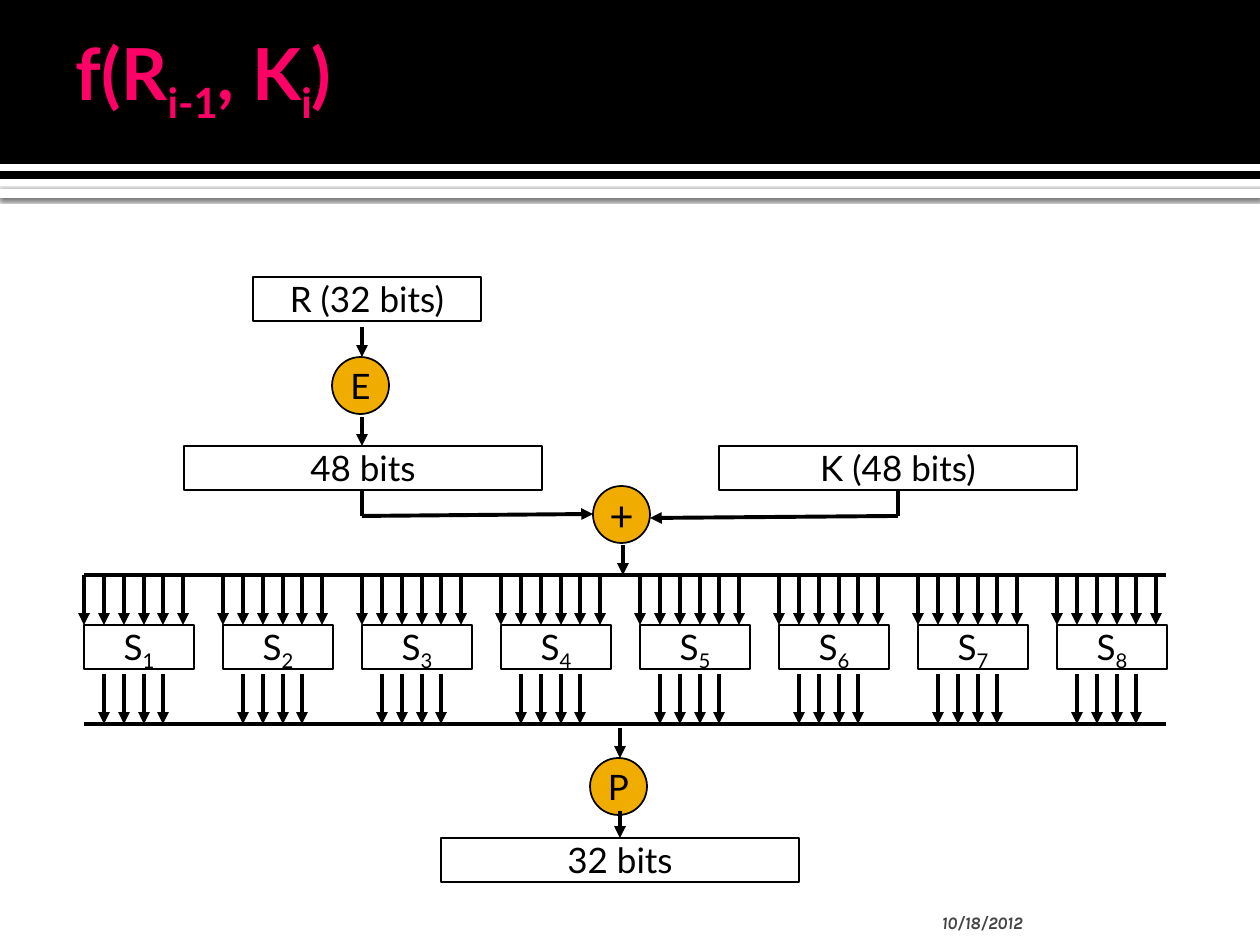
from lxml import etree
from pptx import Presentation
from pptx.dml.color import RGBColor
from pptx.enum.shapes import MSO_CONNECTOR as Connector, MSO_SHAPE as Shape
from pptx.enum.text import MSO_ANCHOR as Anchor, PP_ALIGN as Align
from pptx.oxml import parse_xml
from pptx.oxml.ns import nsdecls, qn
from pptx.util import Emu, Pt

PX_PER_INCH = 126
BLACK = RGBColor(0x00, 0x00, 0x00)
WHITE = RGBColor(0xFF, 0xFF, 0xFF)
PINK = RGBColor(0xFF, 0x00, 0x66)
AMBER = RGBColor(0xF0, 0xAD, 0x00)
GRAY = RGBColor(0x45, 0x45, 0x45)

SBOX_COUNT = 8
SBOX_LEFT = 84
SBOX_PITCH = 139
WIRES_PER_PITCH = 7
INPUT_BUS = 575
SBOX_TOP = 625
OUTPUT_TOP = 674
OUTPUT_BUS = 724


def px(value):
    return Emu(round(value * 914400 / PX_PER_INCH))


def write_text(shape, text, font="Lato", size=20, color=BLACK, bold=False,
               italic=False, align=Align.LEFT, anchor=Anchor.TOP,
               insets=(13, 0, 13, 0), wrap=True):
    frame = shape.text_frame
    frame.word_wrap = wrap
    frame.vertical_anchor = anchor
    (frame.margin_left, frame.margin_top,
     frame.margin_right, frame.margin_bottom) = map(px, insets)
    para = frame.paragraphs[0]
    para.alignment = align
    for index, part in enumerate(text.split("_")):
        if not part:
            continue
        span = para.add_run()
        span.text = part
        span.font.name = font
        span.font.size = Pt(size)
        span.font.bold = bold
        span.font.italic = italic
        span.font.color.rgb = color
        if index % 2:
            span.font._element.set("baseline", "-25000")


def add_shape(page, kind, left, top, width, height, fill=None, line=None):
    shape = page.shapes.add_shape(kind, px(left), px(top), px(width), px(height))
    shape.shadow.inherit = False
    if fill is None:
        shape.fill.background()
    else:
        shape.fill.solid()
        shape.fill.fore_color.rgb = fill
    if line is None:
        shape.line.fill.background()
    else:
        shape.line.color.rgb = line
        shape.line.width = Pt(1)
    return shape


def add_box(page, text, left, top, width):
    box = add_shape(page, Shape.RECTANGLE, left, top, width, 44, line=BLACK)
    write_text(box, text, align=Align.CENTER)


def add_node(page, text, left, top, size=20):
    node = add_shape(page, Shape.OVAL, left, top, 57, 57, fill=AMBER, line=BLACK)
    write_text(node, text, size=size, align=Align.CENTER, anchor=Anchor.MIDDLE,
               insets=(13, 6, 13, 6), wrap=False)


def add_line(page, x1, y1, x2, y2, color=BLACK, width=2.25, arrow=False):
    line = page.shapes.add_connector(Connector.STRAIGHT, px(x1), px(y1), px(x2), px(y2))
    line.line.color.rgb = color
    line.line.width = Pt(width)
    if arrow:
        etree.SubElement(line.line._get_or_add_ln(), qn("a:tailEnd"), type="triangle")
    etree.SubElement(line._element.spPr, qn("a:effectLst"))


def add_text(page, text, left, top, width, height, **style):
    box = page.shapes.add_textbox(px(left), px(top), px(width), px(height))
    write_text(box, text, **style)


def add_header(page):
    stripe = add_shape(page, Shape.RECTANGLE, 0, 189, 1260, 9, fill=WHITE)
    effects = stripe._element.spPr.find(qn("a:effectLst"))
    effects.append(parse_xml(
        f'<a:outerShdw {nsdecls("a")} blurRad="{Pt(2.5)}" dist="{Pt(0.8)}" '
        'dir="5400000" rotWithShape="0"><a:srgbClr val="000000">'
        '<a:alpha val="60000"/></a:srgbClr></a:outerShdw>'))
    add_shape(page, Shape.RECTANGLE, 0, 0, 1260, 179, fill=BLACK)
    add_line(page, 0, 168, 1260, 168, color=WHITE, width=4)
    add_text(page, "f(R_i-1_, K_i_)", 63, 10, 1040, 136, size=41, color=PINK,
             bold=True, anchor=Anchor.MIDDLE, insets=(13, 6, 6, 6))


def add_key_mixing(page):
    add_box(page, "R (32 bits)", 253, 277, 228)
    add_line(page, 362, 327, 362, 357, arrow=True)
    add_node(page, "E", 332, 357)
    add_line(page, 362, 417, 362, 446, arrow=True)
    add_box(page, "48 bits", 184, 446, 358)
    add_box(page, "K (48 bits)", 719, 446, 358)
    add_node(page, "+", 593, 486, size=24)
    add_line(page, 362, 490, 362, 516)
    add_line(page, 362, 516, 593, 514, arrow=True)
    add_line(page, 898, 490, 898, 516)
    add_line(page, 898, 516, 650, 518, arrow=True)
    add_line(page, 623, 545, 623, INPUT_BUS, arrow=True)


def add_substitution(page):
    for bus in (INPUT_BUS, OUTPUT_BUS):
        add_line(page, SBOX_LEFT, bus, 1166, bus)
    for index in range(SBOX_COUNT):
        left = SBOX_LEFT + index * SBOX_PITCH
        add_box(page, f"S_{index + 1}_", left, SBOX_TOP, 110)
        for wire in range(6):
            x = left + round(wire * SBOX_PITCH / WIRES_PER_PITCH)
            add_line(page, x, INPUT_BUS, x, SBOX_TOP, arrow=True)
            if 1 <= wire <= 4:
                add_line(page, x, OUTPUT_TOP, x, OUTPUT_BUS, arrow=True)


def add_permutation(page):
    add_line(page, 620, 728, 620, 758, arrow=True)
    add_node(page, "P", 590, 758)
    add_box(page, "32 bits", 441, 838, 358)
    add_line(page, 620, 811, 620, 838, arrow=True)


def main():
    deck = Presentation()
    deck.slide_width, deck.slide_height = px(1260), px(945)
    page = deck.slides.add_slide(deck.slide_layouts[6])
    add_header(page)
    add_key_mixing(page)
    add_substitution(page)
    add_permutation(page)
    add_text(page, "10/18/2012", 927, 883, 265, 50, font="Karla", size=10,
             color=GRAY, bold=True, italic=True, anchor=Anchor.BOTTOM,
             insets=(15, 6, 6, 0))
    deck.save("out.pptx")


if __name__ == "__main__":
    main()
